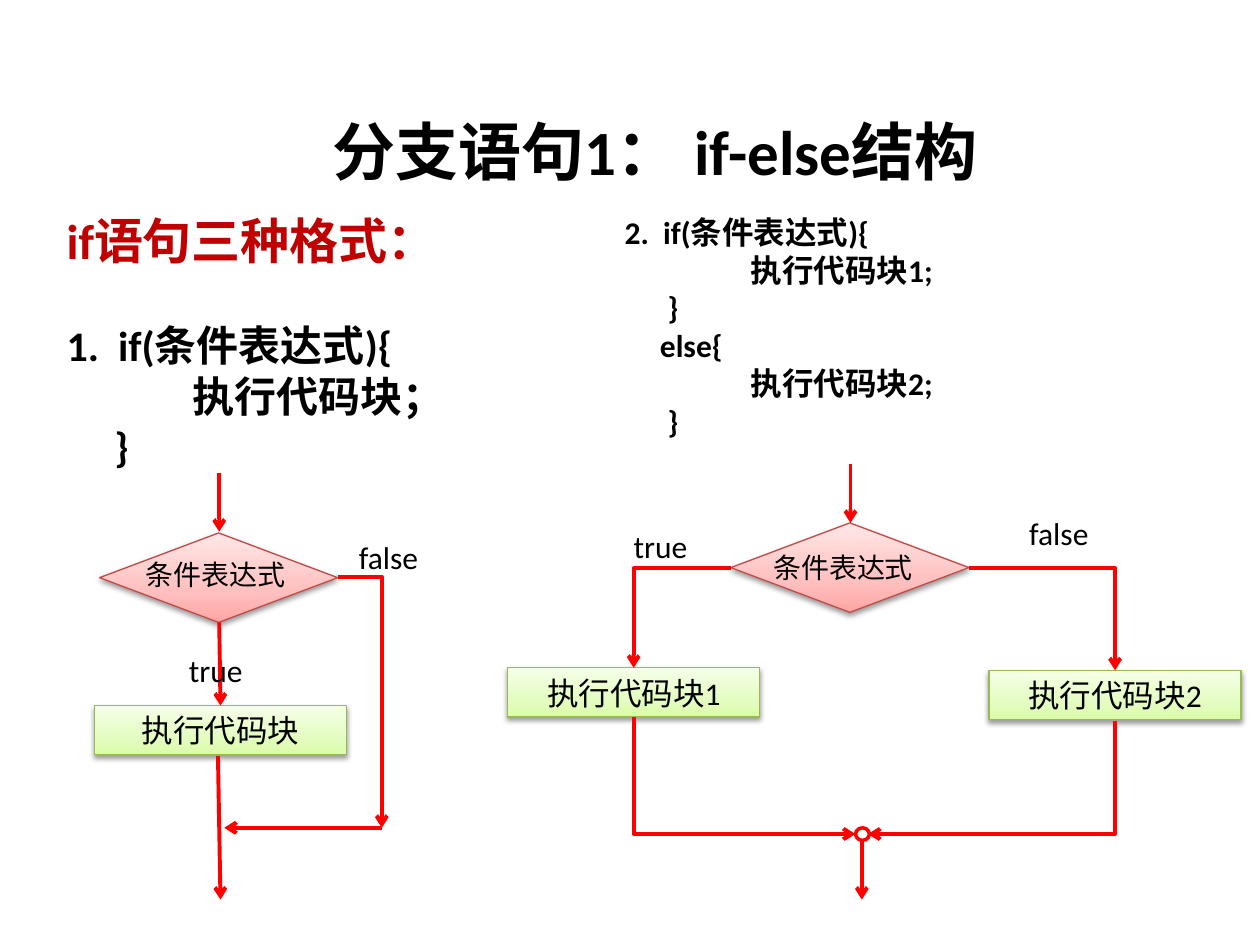
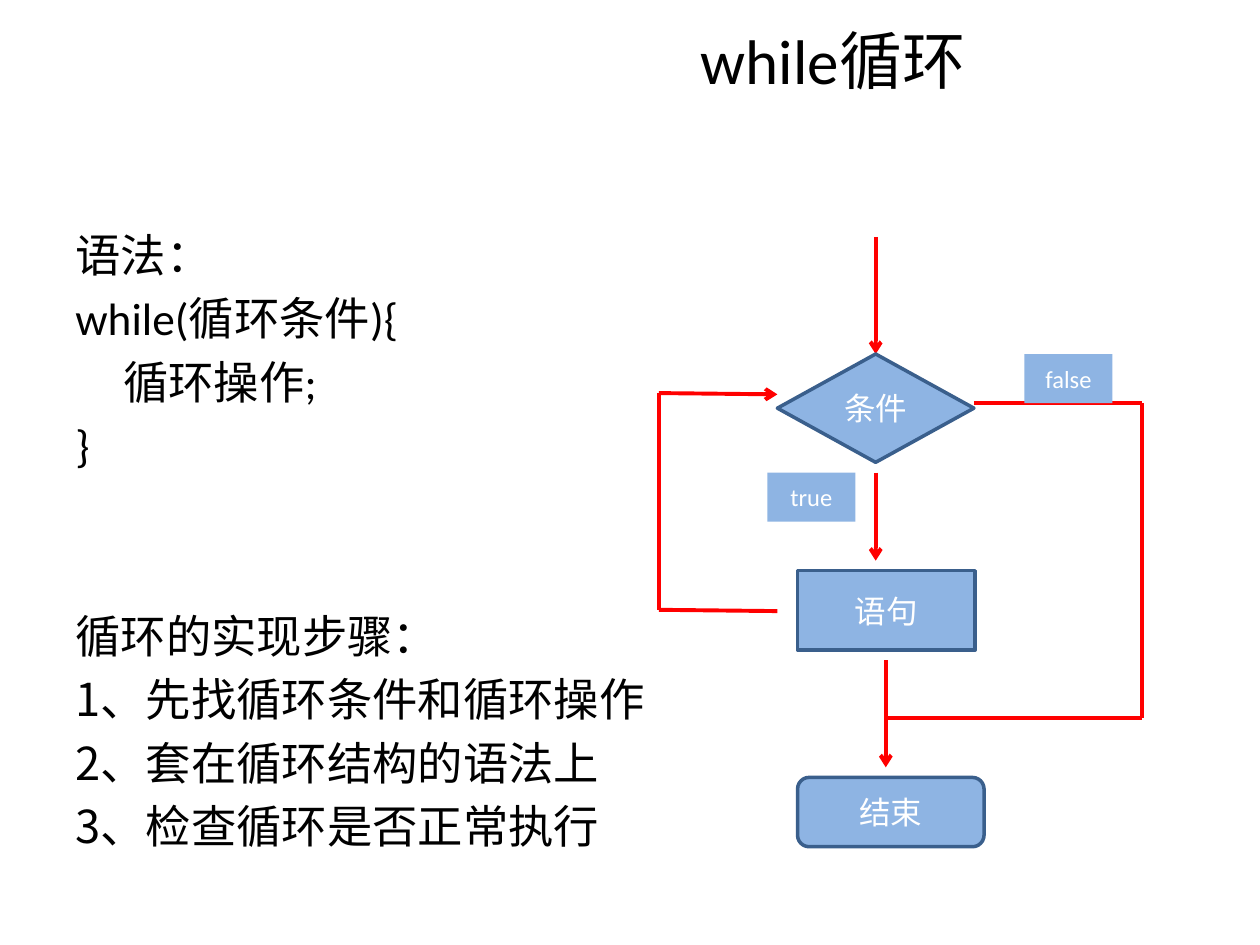
from copy import deepcopy

from lxml import etree
from pptx import Presentation
from pptx.dml.color import RGBColor
from pptx.enum.shapes import MSO_CONNECTOR, MSO_SHAPE
from pptx.enum.text import MSO_ANCHOR, PP_ALIGN
from pptx.oxml.ns import qn
from pptx.util import Inches, Pt

DECISION = MSO_SHAPE.FLOWCHART_DECISION
DIAMOND = MSO_SHAPE.DIAMOND
RECTANGLE = MSO_SHAPE.RECTANGLE
ROUNDED = MSO_SHAPE.ROUNDED_RECTANGLE
OVAL = MSO_SHAPE.OVAL
STRAIGHT = MSO_CONNECTOR.STRAIGHT
ELBOW = MSO_CONNECTOR.ELBOW
CENTER, LEFT = PP_ALIGN.CENTER, PP_ALIGN.LEFT
MIDDLE, TOP = MSO_ANCHOR.MIDDLE, MSO_ANCHOR.TOP

BLACK = RGBColor(0x00, 0x00, 0x00)
WHITE = RGBColor(0xFF, 0xFF, 0xFF)
HEADING_RED = RGBColor(0xC0, 0x00, 0x00)
FLOW_RED = RGBColor(0xFF, 0x00, 0x00)
NODE_BLUE = RGBColor(0x8E, 0xB4, 0xE3)
NODE_EDGE = RGBColor(0x3A, 0x5F, 0x8C)
PINK_EDGE = RGBColor(0xBF, 0x4C, 0x48)
PINKS = [RGBColor(0xFF, 0xA6, 0xA5), RGBColor(0xFF, 0xC0, 0xBF), RGBColor(0xFF, 0xE7, 0xE7)]
GREEN_EDGE = RGBColor(0x98, 0xB9, 0x55)
GREENS = [RGBColor(0xDA, 0xFD, 0xA7), RGBColor(0xE4, 0xFC, 0xC2), RGBColor(0xF5, 0xFF, 0xE7)]
STOPS = (0, 0.35, 1)

LATIN = "Calibri"
CHINESE = "Noto Sans CJK SC"
TITLE_SIZE = 36

IF_TITLE = ("分支语句1： if-else结构", (2.09, 0.75, 6.22, 0.88))
IF_HEADING = "if语句三种格式："
IF_CODE = [("1.  if(条件表达式){", 0), ("执行代码块；", 1), ("}", 0.38)]
IF_ELSE_CODE = [
    ("2.  if(条件表达式){", 0), ("执行代码块1;", 1), ("}", 0.34),
    ("else{", 0.28), ("执行代码块2;", 1), ("}", 0.34),
]
CONDITION = "条件表达式"
DECISIONS = [((0.79, 4.23), (1.06, 4.38)), ((5.8, 4.15), (6.04, 4.32))]
CODE_BLOCKS = [
    ("执行代码块", 0.75, 5.6, CHINESE),
    ("执行代码块1", 4.03, 5.3, LATIN),
    ("执行代码块2", 7.85, 5.32, LATIN),
]
BRANCH_LABELS = [("true", 1.4, 5.12), ("false", 2.75, 4.22), ("true", 4.93, 4.13), ("false", 8.07, 4.03)]
IF_ARROWS = [
    (1.74, 3.75, 1.74, 4.22), (1.74, 4.94, 1.75, 5.6), (1.73, 6, 1.75, 7.14),
    (3.03, 6.57, 1.78, 6.57), (6.75, 3.68, 6.75, 4.15), (6.84, 6.67, 6.84, 7.14),
]
BRANCH_ELBOWS = [(2.68, 4.58, 3.03, 6.57), (5.8, 4.51, 5.03, 5.3), (7.69, 4.51, 8.85, 5.32)]
MERGE_ELBOWS = [(6.79, 6.62, 5.03, 5.69), (6.89, 6.62, 8.85, 5.72)]
MERGE_POINT = (6.79, 6.57, 0.11, 0.1)

WHILE_TITLE = ("while循环", (3.22, 0, 6.78, 0.94))
WHILE_TEXT = [
    ("语法：", 0, CHINESE), ("while(循环条件){", 0, LATIN), ("循环操作;", 0.38, LATIN), ("}", 0, LATIN),
    ("循环的实现步骤：", 0, CHINESE), ("1、先找循环条件和循环操作", 0, CHINESE),
    ("2、套在循环结构的语法上", 0, CHINESE), ("3、检查循环是否正常执行", 0, CHINESE),
]
STEPS_START = 4
WHILE_LINE, WHILE_GAP = 31.1, 5.2
WHILE_NODES = [
    (DIAMOND, "条件", (6.17, 2.81, 1.56, 0.86)),
    (RECTANGLE, "语句", (6.33, 4.53, 1.41, 0.63)),
    (ROUNDED, "结束", (6.33, 6.17, 1.48, 0.55)),
]
WHILE_LABELS = [("true", (6.09, 3.75, 0.7, 0.39)), ("false", (8.13, 2.81, 0.7, 0.39))]
WHILE_ARROWS = [
    (6.95, 1.88, 6.95, 2.81), (6.95, 3.75, 6.95, 4.45),
    (7.03, 5.24, 7.03, 6.09), (5.23, 3.12, 6.17, 3.13),
]
WHILE_LINES = [
    (7.73, 3.2, 9.06, 3.2), (9.06, 3.2, 9.06, 5.7), (7.03, 5.7, 9.06, 5.7),
    (6.17, 4.85, 5.23, 4.84), (5.23, 4.84, 5.23, 3.12),
]


def inches(values):
    return [Inches(value) for value in values]


def write(paragraph, text, size, color=BLACK, font=LATIN, bold=False, align=LEFT, indent=0):
    paragraph.text = text
    paragraph.alignment = align
    if indent:
        paragraph._p.get_or_add_pPr().set("marL", str(Inches(indent)))
    run = paragraph.runs[0]
    run.font.size = Pt(size)
    run.font.bold = bold
    run.font.name = font
    run.font.color.rgb = color
    east_asian = etree.SubElement(run._r.rPr, qn("a:ea"))
    east_asian.set("typeface", CHINESE)


def add_text_box(slide, box, anchor=TOP):
    text_frame = slide.shapes.add_textbox(*inches(box)).text_frame
    text_frame.word_wrap = True
    text_frame.vertical_anchor = anchor
    return text_frame


def add_lines(text_frame, lines, size, **style):
    for text, indent in lines:
        first = text_frame.paragraphs[0]
        paragraph = text_frame.add_paragraph() if first.runs else first
        write(paragraph, text, size, indent=indent, **style)


def add_title(slide, title, bold=False):
    text, box = title
    write(add_text_box(slide, box, MIDDLE).paragraphs[0], text, TITLE_SIZE, bold=bold, align=CENTER)


def add_node(slide, kind, box, edge=None, width=2):
    shape = slide.shapes.add_shape(kind, *inches(box))
    shape.shadow.inherit = False
    if edge is None:
        shape.line.fill.background()
    else:
        shape.line.color.rgb = edge
        shape.line.width = Pt(width)
    return shape


def label_node(shape, text, size, color, font=LATIN):
    shape.text_frame.vertical_anchor = MIDDLE
    write(shape.text_frame.paragraphs[0], text, size, color, font, align=CENTER)


def add_gradient_node(slide, kind, box, colors, edge):
    shape = add_node(slide, kind, box, edge, 0.75)
    shape.fill.gradient()
    shape.fill.gradient_angle = 90
    properties = shape._element.spPr
    stop_list = properties.find(".//" + qn("a:gsLst"))
    stop_list.append(deepcopy(stop_list[1]))
    for stop, position, color in zip(shape.fill.gradient_stops, STOPS, colors):
        stop.position = position
        stop.color.rgb = color
    shadow = etree.SubElement(properties.find(qn("a:effectLst")), qn("a:outerShdw"))
    for name, value in (("blurRad", Pt(3.1)), ("dist", Pt(1.6)), ("dir", 5400000), ("rotWithShape", 0)):
        shadow.set(name, str(value))
    black = etree.SubElement(shadow, qn("a:srgbClr"), val="000000")
    etree.SubElement(black, qn("a:alpha"), val="38000")
    return shape


def add_flow(slide, ends, arrow=None, kind=STRAIGHT):
    connector = slide.shapes.add_connector(kind, *inches(ends))
    connector.line.color.rgb = FLOW_RED
    connector.line.width = Pt(2.25)
    properties = connector._element.spPr
    if kind == ELBOW:
        properties.find(qn("a:prstGeom")).set("prst", "bentConnector2")
    if arrow:
        etree.SubElement(properties.find(qn("a:ln")), qn(arrow), type="arrow")
    etree.SubElement(properties, qn("a:effectLst"))


def build_if_slide(slide):
    add_title(slide, IF_TITLE, bold=True)
    text_frame = add_text_box(slide, (0.43, 1.62, 3.62, 2.19))
    write(text_frame.paragraphs[0], IF_HEADING, 28, HEADING_RED, bold=True)
    text_frame.paragraphs[0].space_after = Pt(29)
    add_lines(text_frame, IF_CODE, 24, bold=True)
    add_lines(add_text_box(slide, (4.86, 1.64, 5, 1.92)), IF_ELSE_CODE, 18, bold=True)

    for corner, text_corner in DECISIONS:
        add_gradient_node(slide, DECISION, (*corner, 1.89, 0.71), PINKS, PINK_EDGE)
        add_lines(add_text_box(slide, (*text_corner, 1.5, 0.37)), [(CONDITION, 0)], 16, font=CHINESE)
    for text, left, top, font in CODE_BLOCKS:
        block = add_gradient_node(slide, RECTANGLE, (left, top, 2, 0.39), GREENS, GREEN_EDGE)
        label_node(block, text, 18, BLACK, font)
    for ends in IF_ARROWS:
        add_flow(slide, ends, "a:tailEnd")
    for ends in BRANCH_ELBOWS:
        add_flow(slide, ends, "a:tailEnd", ELBOW)
    for ends in MERGE_ELBOWS:
        add_flow(slide, ends, "a:headEnd", ELBOW)
    add_node(slide, OVAL, MERGE_POINT, FLOW_RED).fill.background()
    for text, left, top in BRANCH_LABELS:
        add_lines(add_text_box(slide, (left, top, 0.9, 0.4)), [(text, 0)], 18)


def build_while_slide(slide):
    add_title(slide, WHILE_TITLE)
    text_frame = add_text_box(slide, (0.5, 1.75, 9, 4.95))
    for index, (text, indent, font) in enumerate(WHILE_TEXT):
        paragraph = text_frame.add_paragraph() if index else text_frame.paragraphs[0]
        write(paragraph, text, 25.9, font=font, indent=indent)
        paragraph.line_spacing = Pt(WHILE_LINE)
        skipped = 2 if index == STEPS_START else 0
        paragraph.space_before = Pt(WHILE_GAP + skipped * (WHILE_LINE + WHILE_GAP))

    for ends in WHILE_ARROWS:
        add_flow(slide, ends, "a:tailEnd")
    for ends in WHILE_LINES:
        add_flow(slide, ends)
    nodes = [(*node, NODE_EDGE, 18) for node in WHILE_NODES]
    nodes += [(RECTANGLE, *label, None, 14) for label in WHILE_LABELS]
    for kind, text, box, edge, size in nodes:
        shape = add_node(slide, kind, box, edge)
        shape.fill.solid()
        shape.fill.fore_color.rgb = NODE_BLUE
        label_node(shape, text, size, WHITE)


def main():
    presentation = Presentation()
    presentation.slide_width = Inches(10)
    presentation.slide_height = Inches(7.5)
    for build in (build_if_slide, build_while_slide):
        build(presentation.slides.add_slide(presentation.slide_layouts[6]))
    presentation.save("out.pptx")


if __name__ == "__main__":
    main()
